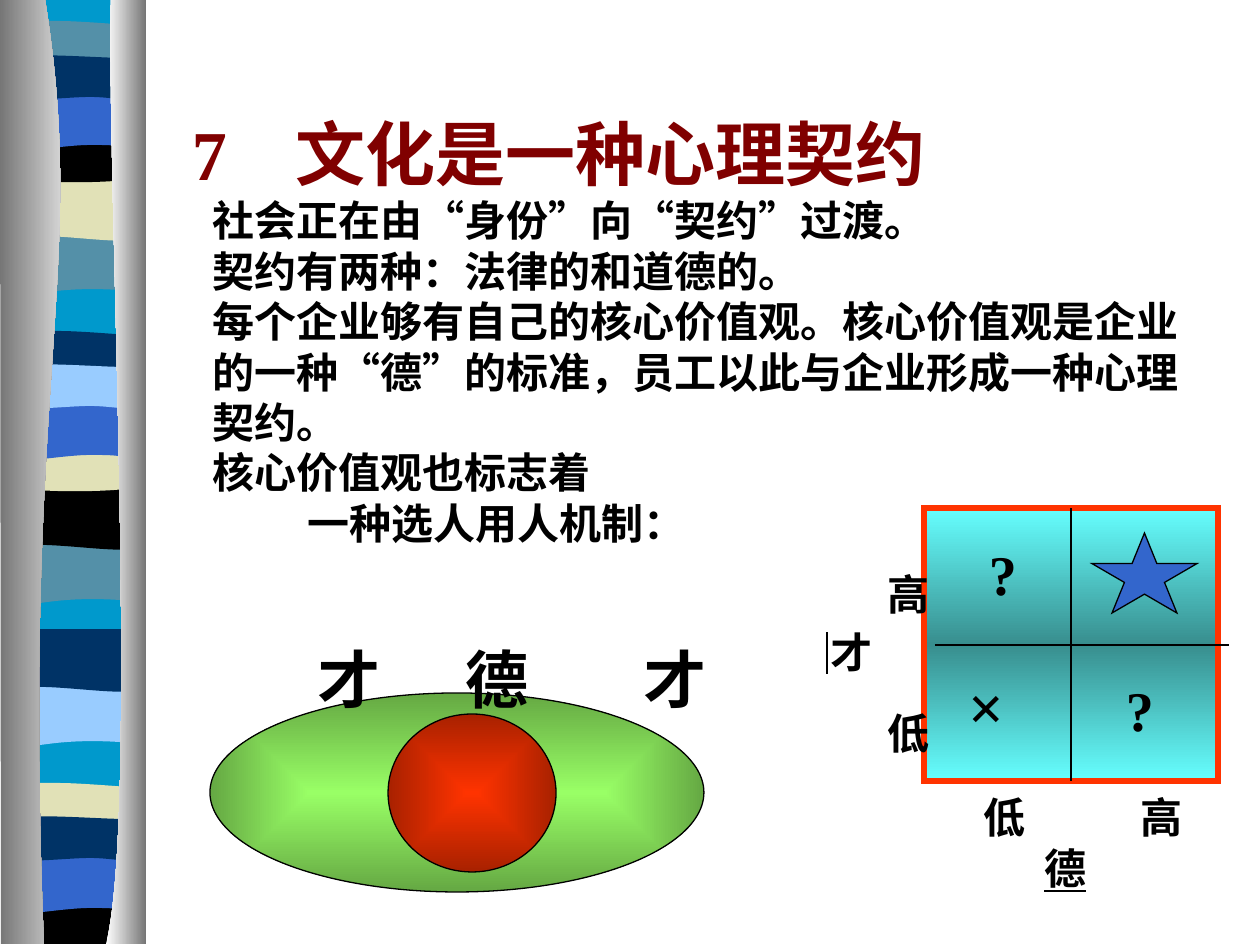
from dataclasses import dataclass

import pptx
import pptx.dml.color
import pptx.enum.shapes
import pptx.oxml.ns
import pptx.util
from lxml import etree

SCALE = 914400 / 126
KIND = pptx.enum.shapes.MSO_SHAPE
qn = pptx.oxml.ns.qn


@dataclass(frozen=True)
class Theme:
    font: str = "Times New Roman"
    ink: str = "000000"
    title: str = "800000"
    frame: str = "FF3300"
    sky: str = "0099CC"
    steel: str = "5490A8"
    sand: str = "E1E1B7"
    blue: str = "3366CC"
    navy: str = "003366"
    pale: str = "99CCFF"
    stone: tuple = ("767676", "FFFFFF")
    green: tuple = ("99FF66", "65A843")
    red: tuple = ("FF3300", "A82100")
    aqua: tuple = ("66FFFF", "388E8E", "66FFFF")
    head: int = 40
    big: int = 36
    mark: int = 32
    body: int = 24


T = Theme()


@dataclass(frozen=True)
class Band:
    wave: str
    color: str
    top: int


@dataclass(frozen=True)
class Line:
    text: str
    size: int = T.body
    color: str = T.ink
    left: int = 0
    before: int = 0
    tabs: tuple = ()
    under: bool = False
    pitch: float = 1.0


@dataclass(frozen=True)
class Note:
    area: tuple
    lines: tuple
    pad: tuple = (13, 6)
    vert: bool = False


# Outlines in px from a start point: pairs are lines, sixes are Bezier curves
WAVES = {
    "tail": [(136, 0), (136, 59), (41, 49, 22, 69, 0, 59), (0, 0)],
    "roll": [(136, 0), (136, 60), (113, 69, 41, 52, 0, 60), (0, 0)],
    "thin": [(136, 0), (136, 30), (113, 35, 23, 35, 0, 30), (0, 0),
             (8, -6, 29, -5, 52, -5), (74, -5, 118, -1, 136, 0)],
    "dip": [(136, 0), (136, 41), (113, 48, 23, 48, 0, 41), (0, 0),
            (83, 6, 107, 0, 136, 0)],
    "foot": [(136, 0), (136, 47), (0, 47), (0, 0), (83, 6, 107, 0, 136, 0)],
    "arch": [(136, 0), (136, 59), (115, 52, 106, 52, 83, 52),
             (60, 52, 20, 59, 0, 59), (0, 0)],
    "flag": [(136, 0), (136, 39), (127, 45, 106, 39, 83, 39),
             (60, 39, 14, 45, 0, 39), (0, 0), (19, -6, 92, 0, 115, 0)],
}
BANDS = [
    Band("tail", T.steel, 233), Band("roll", T.sand, 178),
    Band("thin", T.steel, 26), Band("dip", T.ink, 136),
    Band("arch", T.blue, 93), Band("flag", T.navy, 58),
    Band("tail", T.steel, 543), Band("roll", T.ink, 487),
    Band("thin", T.navy, 336), Band("dip", T.sand, 445),
    Band("arch", T.blue, 403), Band("flag", T.pale, 367),
    Band("tail", T.pale, 685), Band("roll", T.navy, 629),
    Band("thin", T.sand, 788), Band("foot", T.ink, 897),
    Band("arch", T.blue, 856), Band("flag", T.navy, 819),
]
LEFT = [(45, -1), (89, 272, 21, 373, 44, 944), (1, 944), (0, -1)]
RIGHT = [(111, -1), (106, 158, 140, 814, 106, 944), (146, 944), (146, 0)]

PROSE = Note((136, 105, 1081, 746), (
    Line("\t7\t文化是一种心理契约", T.head, T.title, tabs=(43, 147)),
    Line("社会正在由“身份”向“契约”过渡。", left=64),
    Line("契约有两种：法律的和道德的。", left=64),
    Line("每个企业够有自己的核心价值观。核心价值观是企业的一种“德”的标准，"
         "员工以此与企业形成一种心理契约。", left=64),
    Line("核心价值观也标志着", left=64),
    Line("一种选人用人机制：", left=159),
    Line("\t才\t德\t才", T.big, before=53, tabs=(169, 317, 495)),
))
MARKS = [
    Note((976, 533, 63, 81), (Line("?", T.mark),)),
    Note((1113, 670, 63, 81), (Line("?", T.mark),)),
    Note((955, 662, 84, 88), (Line("×", T.big),)),
    Note((914, 792, 294, 101), (
        Line("\t低\t高", tabs=(70, 227)),
        Line("德", left=130, under=True)), pad=(0, 0)),
    Note((808, 508, 112, 273), (
        Line("\t高\t低", tabs=(53, 192), pitch=0.6),
        Line("才", left=111, before=15, under=True, pitch=0.6)),
        pad=(6, 13), vert=True),
]


def px(n: float) -> int:
    return round(n * SCALE)


def rgb(code: str):
    return pptx.dml.color.RGBColor.from_string(code)


def blend(shape, stops: tuple, turn: int = 0, box: bool = False) -> None:
    """Gradient with even stops, along an angle or out from the centre."""
    shape.fill.gradient()
    grad = shape._element.spPr.find(qn("a:gradFill"))
    for part in list(grad):
        grad.remove(part)
    row = etree.SubElement(grad, qn("a:gsLst"))
    for i, code in enumerate(stops):
        stop = etree.SubElement(row, qn("a:gs"), pos=str(100000 * i // (len(stops) - 1)))
        etree.SubElement(stop, qn("a:srgbClr"), val=code)
    if box:
        way = etree.SubElement(grad, qn("a:path"), {"path": "rect"})
        etree.SubElement(way, qn("a:fillToRect"), {s: "50000" for s in "ltrb"})
    else:
        etree.SubElement(grad, qn("a:lin"), ang=str(turn * 60000), scaled="0")


def paint(shape, fill, line: str = "", width: float = 0.75, **way) -> None:
    shape.shadow.inherit = False
    if isinstance(fill, tuple):
        blend(shape, fill, **way)
    else:
        shape.fill.solid()
        shape.fill.fore_color.rgb = rgb(fill)
    if line:
        shape.line.color.rgb = rgb(line)
        shape.line.width = pptx.util.Pt(width)
        edge = shape._element.spPr.find(qn("a:ln"))
        etree.SubElement(edge, qn("a:miter"), lim="800000")
    else:
        shape.line.fill.background()


def draw(shapes, steps: list, fill, x: int = 0, y: int = 0) -> None:
    """Lay all points as lines, then join each curve's three into one."""
    dots = [(x + s[i], y + s[i + 1]) for s in steps for i in range(0, len(s), 2)]
    form = shapes.build_freeform(*dots[0], scale=SCALE)
    form.add_line_segments(dots[1:], close=True)
    shape = form.convert_to_shape()
    legs = iter(list(shape._element.iter(qn("a:lnTo"))))
    for step in steps[1:]:
        leg = next(legs)
        if len(step) == 6:
            leg.addprevious(curve := etree.Element(qn("a:cubicBezTo")))
            for part in (leg, next(legs), next(legs)):
                curve.append(part[0])
                part.getparent().remove(part)
    paint(shape, fill)


def place(shapes, kind, area: tuple, fill, line: str = "", **way) -> None:
    paint(shapes.add_shape(kind, *map(px, area)), fill, line, **way)


def rule(shapes, *ends: int) -> None:
    line = shapes.add_connector(pptx.enum.shapes.MSO_CONNECTOR.STRAIGHT, *map(px, ends))
    line.line.color.rgb = rgb(T.ink)
    line.line.width = pptx.util.Pt(0.75)
    etree.SubElement(line._element.spPr, qn("a:effectLst"))


def write(para, line: Line) -> None:
    props = para._p.get_or_add_pPr()
    props.set("marL", str(px(line.left)))
    if line.pitch != 1:
        para.line_spacing = line.pitch
    if line.before:
        para.space_before = pptx.util.Pt(line.before)
    if line.tabs:
        tabs = etree.SubElement(props, qn("a:tabLst"))
        for tab in line.tabs:
            etree.SubElement(tabs, qn("a:tab"), pos=str(px(tab)), algn="l")
    run = para.add_run()
    run.text = line.text
    look = {"name": T.font, "size": pptx.util.Pt(line.size), "bold": True,
            "underline": line.under}
    for key, value in look.items():
        setattr(run.font, key, value)
    run.font.color.rgb = rgb(line.color)


def jot(shapes, note: Note) -> None:
    text = shapes.add_textbox(*map(px, note.area)).text_frame
    wide, high = map(px, note.pad)
    look = {"word_wrap": True, "margin_left": wide, "margin_right": wide,
            "margin_top": high, "margin_bottom": high}
    for key, value in look.items():
        setattr(text, key, value)
    if note.vert:
        text._txBody.bodyPr.set("vert", "eaVert")
    for i, line in enumerate(note.lines):
        write(text.add_paragraph() if i else text.paragraphs[0], line)


def main() -> None:
    deck = pptx.Presentation()
    deck.slide_width, deck.slide_height = px(1260), px(945)
    shapes = deck.slides.add_slide(deck.slide_layouts[6]).shapes

    # Striped ribbon between two grey pillars
    draw(shapes, [(143, -1), (143, 941), (7, 941), (7, -1)], T.sky)
    for band in BANDS:
        draw(shapes, WAVES[band.wave], band.color, 7, band.top)
    draw(shapes, LEFT, T.stone)
    draw(shapes, RIGHT, T.stone[::-1])

    # Core inside an ellipse, with the text above
    place(shapes, KIND.OVAL, (210, 693, 494, 199), T.green, T.ink, box=True)
    place(shapes, KIND.OVAL, (388, 714, 168, 158), T.red, T.ink, box=True)
    jot(shapes, PROSE)

    # Talent and virtue matrix
    place(shapes, KIND.RECTANGLE, (924, 508, 294, 273), T.aqua, T.frame, width=3, turn=90)
    rule(shapes, 1071, 781, 1071, 508)
    rule(shapes, 935, 645, 1229, 645)
    place(shapes, KIND.STAR_5_POINT, (1092, 533, 105, 80), T.blue, T.ink)
    for note in MARKS:
        jot(shapes, note)

    deck.save("out.pptx")


if __name__ == "__main__":
    main()
